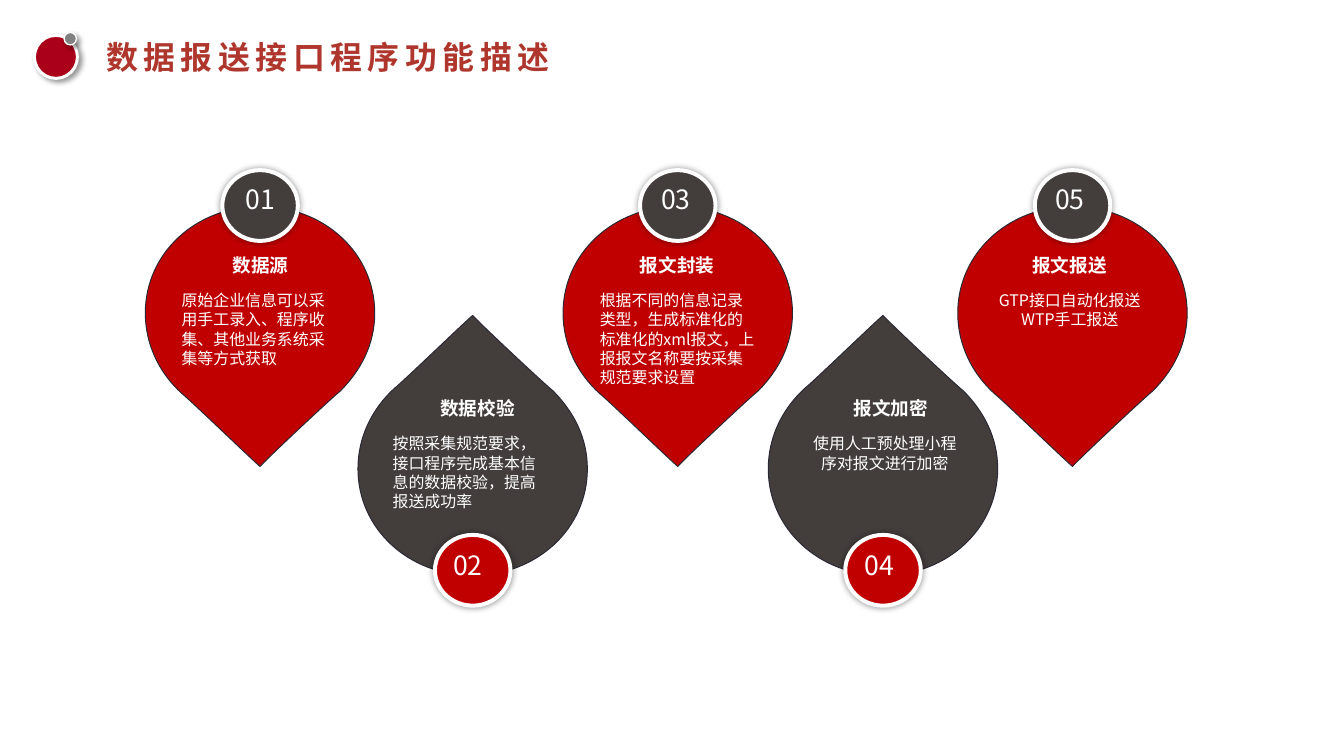
from dataclasses import dataclass

from lxml.etree import SubElement
from pptx import Presentation
from pptx.dml.color import RGBColor
from pptx.enum.shapes import MSO_SHAPE
from pptx.enum.text import MSO_ANCHOR, MSO_AUTO_SIZE, PP_ALIGN
from pptx.oxml.ns import qn
from pptx.util import Inches, Pt

WIDTH, HEIGHT = Inches(14.06), Inches(7.91)
COLUMN, ROW = WIDTH / 100, HEIGHT / 100
DROP_SIZE = (17.07, 34.39)
BADGE_SIZE = (5.62, 9.36)
HEADING_SIZE = (12.4, 4.3)
NUMBER_SIZE = (4.55, 5.56)
BODY_WIDTH, BODY_MARGIN, BODY_LINE = 13.09, 1.26, 2.55
DROP_START = (0.5, 0)
DROP_CURVES = (
    ((0.78, 0), (1, 0.18), (1, 0.41)),
    ((1, 0.53), (0.94, 0.63), (0.85, 0.71)),
    ((0.82, 0.73), (0.53, 0.97), (0.5, 1)),
    ((0.46, 0.97), (0.19, 0.74), (0.16, 0.72)),
    ((0.06, 0.64), (0, 0.53), (0, 0.41)),
    ((0, 0.18), (0.22, 0), DROP_START),
)


@dataclass(frozen=True)
class Theme:
    """Colours, font and type sizes of the slide."""
    red: str = "C00000"
    dark: str = "433D3C"
    outline: str = "292834"
    white: str = "FFFFFF"
    title: str = "AF362C"
    marker: str = "AB0019"
    gray: str = "808080"
    shadow: str = "000000"
    font: str = "Noto Sans CJK SC"
    title_size: int = 24
    number_size: int = 20
    heading_size: int = 14
    body_size: int = 12
    leading: float = 1.21


@dataclass(frozen=True)
class Row:
    """Fill colours and vertical places shared by the drops of one row."""
    drop_fill: str
    badge_fill: str
    points_up: bool
    drop: float
    badge: float
    number: float
    heading: float
    body: float


@dataclass(frozen=True)
class Step:
    """One numbered step with its centre and the text offsets from it."""
    row: Row
    center: float
    heading: str
    lines: tuple
    line_count: int
    alignment: PP_ALIGN
    number_shift: float
    heading_shift: float
    body_shift: float


THEME = Theme()
UPPER = Row(THEME.red, THEME.dark, False, 27.31, 22.5, 23.6, 32.9, 37.8)
LOWER = Row(THEME.dark, THEME.red, True, 41.72, 70.75, 71.95, 51.83, 56.76)
STEPS = (
    Step(UPPER, 19.35, "数据源", ("原始企业信息可以采用手工录入、程序收集、其他业务系统采集等方式获取",),
         4, PP_ALIGN.LEFT, 0.5, 0.04, 0),
    Step(LOWER, 35.17, "数据校验", ("按照采集规范要求，接口程序完成基本信息的数据校验，提高报送成功率",),
         4, PP_ALIGN.LEFT, 0.11, 0.36, -0.11),
    Step(UPPER, 50.43, "报文封装",
         ("根据不同的信息记录类型，生成标准化的标准化的xml报文，上报报文名称要按采集规范要求设置",),
         5, PP_ALIGN.LEFT, 0.33, -0.04, 0.04),
    Step(LOWER, 65.7, "报文加密", ("使用人工预处理小程序对报文进行加密",),
         2, PP_ALIGN.CENTER, 0.23, 0.6, 0.14),
    Step(UPPER, 79.8, "报文报送", ("GTP接口自动化报送", "WTP手工报送"),
         2, PP_ALIGN.CENTER, 0.28, -0.21, -0.21),
)


def to_box(left, top, width, height):
    """Turn columns and rows into slide lengths."""
    return round(left * COLUMN), round(top * ROW), round(width * COLUMN), round(height * ROW)


def centered_box(center, top, size):
    """Return the box of a given size centred on a column."""
    return to_box(center - size[0] / 2, top, *size)


def paint(shape, fill, line, weight):
    """Give a shape a solid fill and outline without the theme shadow."""
    shape.shadow.inherit = False
    shape.fill.solid()
    shape.fill.fore_color.rgb = RGBColor.from_string(fill)
    shape.line.color.rgb = RGBColor.from_string(line)
    shape.line.width = Pt(weight)


def add_shadow(shape, blur, distance, angle):
    """Add a soft outer shadow to a shape."""
    effects = shape._element.spPr.find(qn("a:effectLst"))
    shadow = SubElement(effects, qn("a:outerShdw"), blurRad=str(Pt(blur)),
                        dist=str(Pt(distance)), dir=str(angle * 60000), rotWithShape="0")
    color = SubElement(shadow, qn("a:srgbClr"), val=THEME.shadow)
    SubElement(color, qn("a:alpha"), val="40000")


def add_disc(shapes, box, fill, weight, blur, distance=0, angle=0):
    """Add a white-rimmed ellipse with a shadow."""
    disc = shapes.add_shape(MSO_SHAPE.OVAL, *box)
    paint(disc, fill, THEME.white, weight)
    add_shadow(disc, blur, distance, angle)


def bend(segment, points):
    """Turn a straight path segment into a cubic curve through the given points."""
    segment.clear()
    segment.tag = qn("a:cubicBezTo")
    for x, y in points:
        SubElement(segment, qn("a:pt"), x=str(x), y=str(y))


def add_drop(shapes, box, fill, points_up):
    """Add a curved drop whose tip points down or up."""
    left, top, width, height = box

    def place(point):
        """Return a share of the drop as lengths from its corner."""
        x, y = point
        return round(x * width), round((1 - y if points_up else y) * height)

    curves = [[place(point) for point in curve] for curve in DROP_CURVES]
    start_x, start_y = place(DROP_START)
    builder = shapes.build_freeform(left + start_x, top + start_y)
    builder.add_line_segments([(left + x, top + y) for *_, (x, y) in curves], close=True)
    drop = builder.convert_to_shape()
    for segment, curve in zip(list(drop._element.iter(qn("a:lnTo"))), curves):
        bend(segment, curve)
    paint(drop, fill, THEME.outline, 0.75)


def write_paragraph(paragraph, text, size, color=THEME.white, bold=False, alignment=PP_ALIGN.LEFT):
    """Write one formatted run into a paragraph and return the run."""
    paragraph.alignment = alignment
    paragraph.line_spacing = Pt(size * THEME.leading)
    run = paragraph.add_run()
    run.text = text
    run.font.name = THEME.font
    run.font.size = Pt(size)
    run.font.bold = bold
    run.font.color.rgb = RGBColor.from_string(color)
    SubElement(run._r.get_or_add_rPr(), qn("a:ea"), typeface=THEME.font)
    return run


def add_text(shapes, box, lines, size, **style):
    """Add a wrapping text box with one paragraph for each line."""
    frame = shapes.add_textbox(*box).text_frame
    frame.word_wrap = True
    frame.auto_size = MSO_AUTO_SIZE.SHAPE_TO_FIT_TEXT
    for index, line in enumerate(lines):
        paragraph = frame.add_paragraph() if index else frame.paragraphs[0]
        write_paragraph(paragraph, line, size, **style)


def add_step(slide, number, step):
    """Add one step as a group of drop, badge and texts."""
    row, center = step.row, step.center
    body_size = (BODY_WIDTH, BODY_MARGIN + BODY_LINE * step.line_count)
    shapes = slide.shapes.add_group_shape().shapes
    add_drop(shapes, centered_box(center, row.drop, DROP_SIZE), row.drop_fill, row.points_up)
    add_disc(shapes, centered_box(center, row.badge, BADGE_SIZE), row.badge_fill, 3, 5)
    add_text(shapes, centered_box(center + step.heading_shift, row.heading, HEADING_SIZE),
             (step.heading,), THEME.heading_size, bold=True, alignment=PP_ALIGN.CENTER)
    add_text(shapes, centered_box(center + step.body_shift, row.body, body_size),
             step.lines, THEME.body_size, alignment=step.alignment)
    add_text(shapes, centered_box(center + step.number_shift, row.number, NUMBER_SIZE),
             (f"{number:02}",), THEME.number_size)


def add_title(slide, text):
    """Place and format the title with its round marker."""
    add_disc(slide.shapes, to_box(2.56, 4.68, 3.2, 5.69), THEME.marker, 2.25, 4, 3, 45)
    add_disc(slide.shapes, to_box(4.77, 4.3, 0.92, 1.64), THEME.gray, 1, 4, 3, 45)
    title = slide.shapes.title
    title.left, title.top, title.width, title.height = to_box(7.89, 4.93, 34.85, 5.06)
    frame = title.text_frame
    frame.margin_left = frame.margin_right = frame.margin_top = frame.margin_bottom = 0
    frame.auto_size = MSO_AUTO_SIZE.NONE
    frame.vertical_anchor = MSO_ANCHOR.TOP
    run = write_paragraph(frame.paragraphs[0], text, THEME.title_size, THEME.title, bold=True)
    run._r.get_or_add_rPr().set("spc", "420")


def main():
    """Build the slide and save it."""
    presentation = Presentation()
    presentation.slide_width, presentation.slide_height = WIDTH, HEIGHT
    slide = presentation.slides.add_slide(presentation.slide_layouts[5])
    for number, step in enumerate(STEPS, 1):
        add_step(slide, number, step)
    add_title(slide, "数据报送接口程序功能描述")
    presentation.save("out.pptx")


if __name__ == "__main__":
    main()
